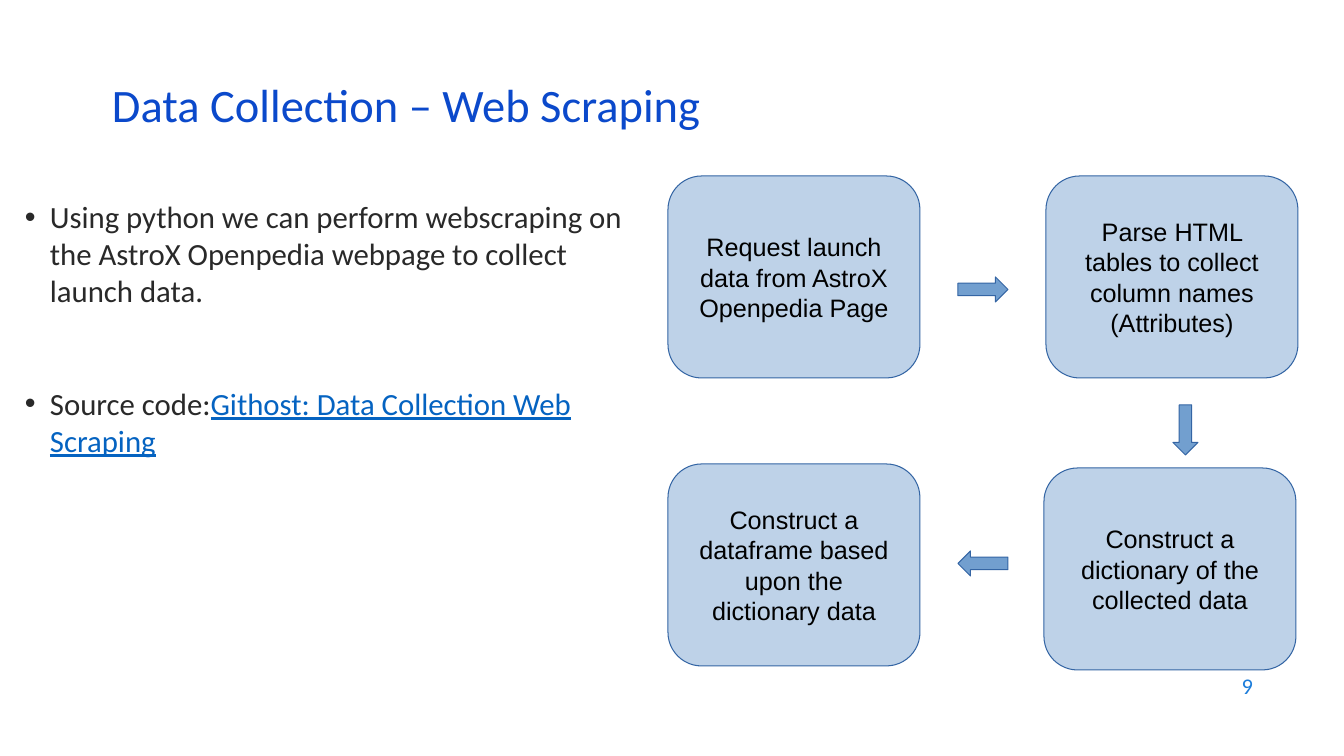
from dataclasses import dataclass

from lxml.etree import SubElement
from pptx import Presentation
from pptx.dml.color import RGBColor
from pptx.enum.shapes import MSO_SHAPE
from pptx.enum.text import MSO_ANCHOR, PP_ALIGN
from pptx.oxml.ns import qn
from pptx.util import Emu, Pt

TITLE = "Data Collection – Web Scraping"
PAGE_NUMBER = "9"
BULLETS = [
    [("Using python we can perform webscraping on the AstroX Openpedia webpage to collect launch data.", False)],
    [("Source code:", False), ("Githost: Data Collection Web Scraping", True)],
]
STEPS = [
    ("Request launch data from AstroX Openpedia Page", 668, 176),
    ("Parse HTML tables to collect column names (Attributes)", 1046, 176),
    ("Construct a dictionary of the collected data", 1044, 468),
    ("Construct a dataframe based upon the dictionary data", 668, 464),
]
STEP_SIZE = (252, 202)
ARROW_LENGTH, ARROW_WIDTH = 50, 25
ARROWS = [
    (MSO_SHAPE.RIGHT_ARROW, 958, 277, ARROW_LENGTH, ARROW_WIDTH),
    (MSO_SHAPE.DOWN_ARROW, 1173, 405, ARROW_WIDTH, ARROW_LENGTH),
    (MSO_SHAPE.LEFT_ARROW, 958, 551, ARROW_LENGTH, ARROW_WIDTH),
]


@dataclass(frozen=True)
class Theme:
    title: str = "0B49CB"
    body: str = "292929"
    link: str = "0563C1"
    number: str = "1C7DDB"
    step_text: str = "000000"
    fill: str = "729FCF"
    outline: str = "3465A4"
    step_opacity: int = 46
    text_font: str = "Calibri"
    step_font: str = "Arial"
    title_size: float = 33.2
    body_size: int = 22
    step_size: int = 18
    number_size: int = 16
    bullet_gap: int = 54


THEME = Theme()


def px(length):
    return Emu(round(length * 914400 / 100.8))


def add_bullet(para):
    properties = para._p.get_or_add_pPr()
    properties.set("marL", str(px(25)))
    properties.set("indent", str(-px(25)))
    color = SubElement(properties, qn("a:buClr"))
    SubElement(color, qn("a:srgbClr"), val=THEME.body)
    SubElement(properties, qn("a:buFont"), typeface="Arial")
    SubElement(properties, qn("a:buChar"), char="•")


def write(frame, paragraphs, *, size, color, font=THEME.text_font, align=PP_ALIGN.LEFT,
          anchor=MSO_ANCHOR.MIDDLE, margins=(10, 5), bullets=False, gap=0, line_spacing=None):
    frame.word_wrap = True
    frame.vertical_anchor = anchor
    frame.margin_left = frame.margin_right = px(margins[0])
    frame.margin_top = frame.margin_bottom = px(margins[1])
    for index, spans in enumerate(paragraphs):
        para = frame.add_paragraph() if index else frame.paragraphs[0]
        if bullets:
            add_bullet(para)
        para.alignment = align
        if line_spacing:
            para.line_spacing = line_spacing
        if index:
            para.space_before = Pt(gap)
        for text, linked in spans:
            span = para.add_run()
            span.text = text
            span.font.name = font
            span.font.size = Pt(size)
            span.font.color.rgb = RGBColor.from_string(THEME.link if linked else color)
            if linked:
                span.font.underline = True


def add_text(page, bounds, paragraphs, **style):
    box = page.shapes.add_textbox(*map(px, bounds))
    write(box.text_frame, paragraphs, **style)


def add_block(page, kind, bounds, opacity=100):
    block = page.shapes.add_shape(kind, *map(px, bounds))
    block.shadow.inherit = False
    block.fill.solid()
    block.fill.fore_color.rgb = RGBColor.from_string(THEME.fill)
    block.line.color.rgb = RGBColor.from_string(THEME.outline)
    block.line.width = Pt(0)
    if opacity < 100:
        color = block._element.spPr.find(qn("a:solidFill")).find(qn("a:srgbClr"))
        SubElement(color, qn("a:alpha"), val=str(opacity * 1000))
    return block


def main():
    deck = Presentation()
    deck.slide_width, deck.slide_height = px(1344), px(756)
    page = deck.slides.add_slide(deck.slide_layouts[6])

    add_text(page, (25, 198, 626, 558), BULLETS, size=THEME.body_size, color=THEME.body,
             anchor=MSO_ANCHOR.TOP, margins=(0, 0), bullets=True, gap=THEME.bullet_gap)
    add_text(page, (102, 77, 1159, 60), [[(TITLE, False)]], size=THEME.title_size,
             color=THEME.title, line_spacing=0.9)

    for text, left, top in STEPS:
        step = add_block(page, MSO_SHAPE.FLOWCHART_ALTERNATE_PROCESS,
                         (left, top, *STEP_SIZE), THEME.step_opacity)
        write(step.text_frame, [[(text, False)]], size=THEME.step_size,
              color=THEME.step_text, font=THEME.step_font, align=PP_ALIGN.CENTER)

    for kind, *bounds in ARROWS:
        add_block(page, kind, bounds)

    add_text(page, (961, 664, 302, 44), [[(PAGE_NUMBER, False)]], size=THEME.number_size,
             color=THEME.number, align=PP_ALIGN.RIGHT)
    deck.save("out.pptx")


if __name__ == "__main__":
    main()
